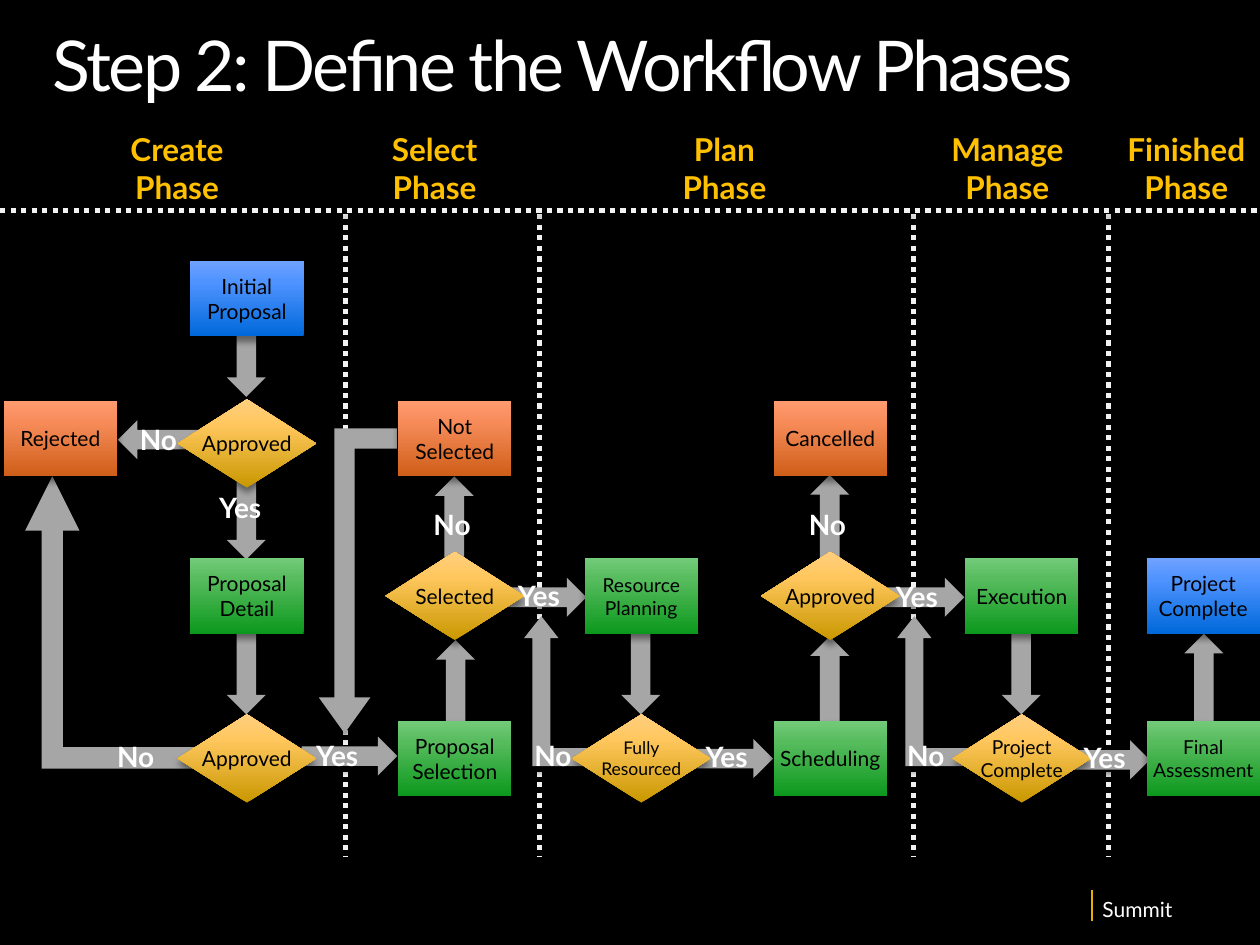
"""Build the workflow phases slide: five phases split by dotted lines, with flowchart steps."""
from copy import deepcopy

from lxml import etree
from pptx import Presentation
from pptx import util as u
from pptx.dml.color import RGBColor
from pptx.enum import dml, shapes, text
from pptx.oxml import ns

COLORS = {"background": "000000", "title": "FFFFFF", "phase": "FFC000", "step": "000000",
          "label": "FFFFFF", "divider": "F2F2F2", "arrow": "A6A6A6", "accent": "E7AE00"}
GRADIENTS = {"blue": ("0068DA", "4F93FF", "70A2FF"), "green": ("0C981D", "57BC5E", "73CA79"),
             "orange": ("CE5E18", "F78C5A", "FF9A70"), "gold": ("C99800", "FFC75E", "FFCF7F")}
Inches, MSO = u.Inches, shapes.MSO_SHAPE


def add_effects(sp, shadow=True):
    effects = etree.SubElement(sp._element.spPr, ns.qn("a:effectLst"))
    if shadow:
        outer = etree.SubElement(effects, ns.qn("a:outerShdw"), blurRad=str(u.Pt(4)),
                                 dist=str(u.Pt(3)), dir="5400000", rotWithShape="0")
        color = etree.SubElement(outer, ns.qn("a:srgbClr"), val="000000")
        etree.SubElement(color, ns.qn("a:alpha"), val="43000")


def write(sp, words, size, color, bold=False, align=None, spacing=None, inset=(0, 0), track=None):
    tf = sp.text_frame
    tf.margin_left = tf.margin_right = Inches(inset[0])
    tf.margin_top = tf.margin_bottom = Inches(inset[1])
    p = tf.paragraphs[0]
    p.alignment, p.line_spacing = align, spacing
    for i, line in enumerate(words.split("\n")):
        if i:
            p.add_line_break()
        r = p.add_run()
        r.text = line
        r.font.name, r.font.size, r.font.bold = "Lato", u.Pt(size), bold
        r.font.color.rgb = RGBColor.from_string(COLORS[color])
        if track:
            r._r.get_or_add_rPr().set("spc", str(track))


prs = Presentation()
prs.slide_width, prs.slide_height = Inches(10), Inches(7.5)
s = prs.slides.add_slide(prs.slide_layouts[6])
s.background.fill.solid()
s.background.fill.fore_color.rgb = RGBColor.from_string(COLORS["background"])

dividers = [(x, 1.7, x, 6.8) for x in (8.8, 7.25, 4.28, 2.74)] + [(0, 1.67, 10, 1.67)]
for ends in [(8.67, 7.06, 8.67, 7.31)] + dividers:
    dotted = ends in dividers
    sp = s.shapes.add_connector(shapes.MSO_CONNECTOR.STRAIGHT, *map(Inches, ends))
    sp.line.color.rgb = RGBColor.from_string(COLORS["divider" if dotted else "accent"])
    sp.line.width = u.Pt(3 if dotted else 1.25)
    if dotted:
        sp.line.dash_style = dml.MSO_LINE.ROUND_DOT
    add_effects(sp, dotted)

CENTER = text.PP_ALIGN.CENTER
title = dict(size=40, color="title", spacing=0.9, track=-150)
footer = dict(size=12, color="title", spacing=0.9)
phase = dict(size=18, color="phase", bold=True, align=CENTER)
label = dict(size=16, color="label", bold=True)

arrows = [
    (9.4, 5.03, 0.31, 0.78, 180), (2.62, 5.62, 0.31, 0.76, 270), (1.16, 3.11, 0.31, 0.76, 90),
    (1.8, 2.48, 0.31, 0.67, 0), (1.8, 3.77, 0.31, 0.67, 0), (1.8, 5, 0.31, 0.67, 0),
    (4.12, 4.36, 0.31, 0.76, 270), (3.45, 3.78, 0.31, 0.67, 180), (3.46, 5.08, 0.31, 0.67, 180),
    (4.93, 5, 0.31, 0.67, 0), (5.6, 5.64, 0.31, 0.76, 270), (6.43, 5.05, 0.31, 0.76, 180),
    (6.43, 3.77, 0.31, 0.67, 180), (7.12, 4.36, 0.31, 0.76, 270), (7.95, 5, 0.31, 0.67, 0),
    (8.57, 5.63, 0.31, 0.8, 270),
]
bent_arrows = [
    (0.2, 3.78, 1.54, 2.32, 0, (0.11, 0.14, 0.28)), (2.53, 3.4, 0.62, 2.42, 180, (0.26, 0.33, 0.46)),
    (4.16, 4.89, 0.62, 1.19, 0, (0.23, 0.22, 0.28)), (7.12, 4.89, 0.62, 1.19, 0, (0.23, 0.22, 0.28)),
]
for x, y, w, h, turn, *bend in arrows + bent_arrows:
    kind = MSO.BENT_UP_ARROW if bend else MSO.DOWN_ARROW
    sp = s.shapes.add_shape(kind, Inches(x), Inches(y), Inches(w), Inches(h))
    sp.rotation = turn
    if bend:
        for i, value in enumerate(bend[0]):
            sp.adjustments[i] = value
        if not turn:
            sp._element.spPr.xfrm.set("flipH", "1")
    sp.fill.solid()
    sp.fill.fore_color.rgb = RGBColor.from_string(COLORS["arrow"])
    sp.line.fill.background()
    add_effects(sp)

steps = [
    ("Initial\nProposal", 1.51, 2.07, "blue", 12), ("Rejected", 0.03, 3.18, "orange", 12),
    ("Approved", 1.41, 3.17, "gold", 12), ("Proposal\nDetail", 1.51, 4.43, "green", 12),
    ("Approved", 1.41, 5.67, "gold", 12), ("Not\nSelected", 3.16, 3.18, "orange", 12),
    ("Selected", 3.06, 4.38, "gold", 12), ("Proposal\nSelection", 3.16, 5.72, "green", 12),
    ("Resource\nPlanning", 4.64, 4.43, "green", 11), ("Fully\nResourced", 4.54, 5.67, "gold", 10),
    ("Cancelled", 6.14, 3.18, "orange", 12), ("Approved", 6.04, 4.38, "gold", 12),
    ("Scheduling", 6.14, 5.72, "green", 12), ("Execution", 7.66, 4.43, "green", 12),
    ("Project\nComplete", 7.56, 5.67, "gold", 11), ("Project\nComplete", 9.1, 4.43, "blue", 12),
    ("Final\nAssessment", 9.1, 5.72, "green", 11),
]
for words, x, y, tone, size in steps:
    kind, w, h = (MSO.DIAMOND, 1.1, 0.7) if tone == "gold" else (MSO.RECTANGLE, 0.9, 0.6)
    sp = s.shapes.add_shape(kind, Inches(x), Inches(y), Inches(w), Inches(h))
    sp.fill.gradient()
    sp.fill.gradient_angle = 90
    stops = sp._element.spPr.find(ns.qn("a:gradFill")).find(ns.qn("a:gsLst"))
    stops.append(deepcopy(stops[-1]))
    for stop, position, color in zip(sp.fill.gradient_stops, (0, 0.72, 1), GRADIENTS[tone]):
        stop.position = position
        stop.color.rgb = RGBColor.from_string(color)
    sp.line.fill.background()
    add_effects(sp)
    sp.text_frame.word_wrap = False
    sp.text_frame.vertical_anchor = text.MSO_ANCHOR.MIDDLE
    write(sp, words, size, "step", align=CENTER, inset=(0.1, 0.05))

texts = [
    ("Step 2: Define the Workflow Phases", 0.42, 0.25, 9.17, 0.61, title),
    ("Summit", 8.75, 7.14, 0.83, 0.18, footer),
    ("Create\nPhase", 0.82, 1.03, 1.17, 0.61, phase), ("Select\nPhase", 2.92, 1.03, 1.06, 0.61, phase),
    ("Plan\nPhase", 5.22, 1.03, 1.06, 0.61, phase), ("Manage\nPhase", 7.37, 1.03, 1.25, 0.61, phase),
    ("Finished\nPhase", 8.75, 1.03, 1.33, 0.61, phase),
]
answers = {
    "Yes": [(2.51, 5.86), (1.74, 3.89), (4.11, 4.59), (5.6, 5.87), (7.11, 4.6), (8.6, 5.88)],
    "No": [(1.11, 3.35), (0.93, 5.87), (3.44, 4.03), (4.24, 5.86), (6.42, 4.03), (7.2, 5.86)],
}
for answer, spots in answers.items():
    texts += [(answer, x, y, 0.44 if answer == "Yes" else 0.35, 0.27, label) for x, y in spots]
for words, x, y, w, h, style in texts:
    sp = s.shapes.add_textbox(Inches(x), Inches(y), Inches(w), Inches(h))
    sp.text_frame.word_wrap = True
    sp.text_frame.auto_size = text.MSO_AUTO_SIZE.SHAPE_TO_FIT_TEXT
    write(sp, words, **style)

prs.save("out.pptx")
